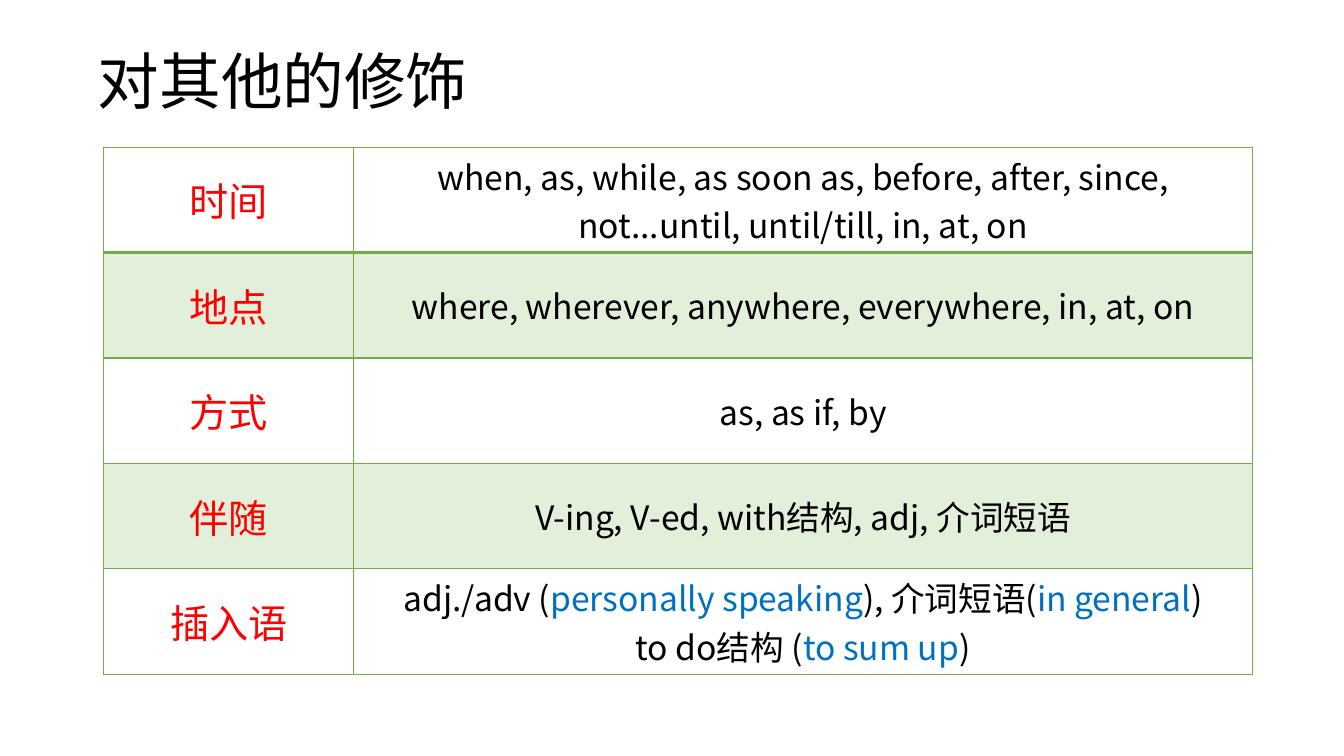
"""Build a slide that lists English adverbial modifiers in a table."""
from dataclasses import dataclass

from pptx import Presentation
from pptx.dml.color import RGBColor
from pptx.enum.text import MSO_ANCHOR as ANCHOR, PP_ALIGN as ALIGN
from pptx.oxml import parse_xml
from pptx.oxml.ns import nsdecls, qn
from pptx.util import Inches, Pt

FONT = "Noto Sans CJK SC"
BLACK, RED, BLUE = "000000", "FF0000", "0070C0"
GREEN, PALE, WHITE = "70AD47", "E2EFDA", "FFFFFF"

Runs = list[tuple[str, str]]


@dataclass
class Modifier:
    name: str
    lines: list[Runs]


MODIFIERS = [
    Modifier("时间", [[("when, as, while, as soon as, before, after, since, "
                      "not...until, until/till, in, at, on", BLACK)]]),
    Modifier("地点", [[("where, wherever, anywhere, everywhere, in, at, on", BLACK)]]),
    Modifier("方式", [[("as, as if, by", BLACK)]]),
    Modifier("伴随", [[("V-ing, V-ed, with结构, adj, 介词短语", BLACK)]]),
    Modifier("插入语", [
        [("adj./adv (", BLACK), ("personally speaking", BLUE),
         ("), 介词短语(", BLACK), ("in general", BLUE), (")", BLACK)],
        [("to do结构 (", BLACK), ("to sum up", BLUE), (")", BLACK)],
    ]),
]


def rgb(color: str) -> RGBColor:
    return RGBColor.from_string(color)


def add_run(p, text: str, *, size: float, color: str) -> None:
    r = p.add_run()
    r.text = text
    r.font.size = Pt(size)
    r.font.name = FONT
    r.font.bold = False
    r.font.color.rgb = rgb(color)
    latin = r.font._element.find(qn("a:latin"))
    latin.addnext(parse_xml(f'<a:ea {nsdecls("a")} typeface="{FONT}"/>'))


def write(tf, lines: list[Runs], *, size: float, align=ALIGN.CENTER, spacing: float = 1.0) -> None:
    for i, runs in enumerate(lines):
        p = tf.add_paragraph() if i else tf.paragraphs[0]
        p.alignment = align
        p.line_spacing = spacing
        for text, color in runs:
            add_run(p, text, size=size, color=color)


def set_borders(cell, widths: dict[str, float]) -> None:
    tc_pr = cell._tc.get_or_add_tcPr()
    for i, side in enumerate("LRTB"):
        tc_pr.insert(i, parse_xml(
            f'<a:ln{side} {nsdecls("a")} w="{Pt(widths.get(side, 1))}"><a:solidFill>'
            f'<a:srgbClr val="{GREEN}"/></a:solidFill></a:ln{side}>'))


def fill_cell(cell, lines: list[Runs], *, size: float, inset: float, fill: str,
              widths: dict[str, float]) -> None:
    cell.vertical_anchor = ANCHOR.MIDDLE
    cell.margin_left = cell.margin_right = Inches(inset)
    cell.margin_top = cell.margin_bottom = Inches(inset)
    cell.fill.solid()
    cell.fill.fore_color.rgb = rgb(fill)
    set_borders(cell, widths)
    write(cell.text_frame, lines, size=size)


def add_title(s, text: str) -> None:
    sp = s.shapes.title
    sp.left, sp.top, sp.width, sp.height = map(Inches, (0.92, 0.4, 11.5, 0.87))
    tf = sp.text_frame
    tf.vertical_anchor = ANCHOR.MIDDLE
    tf.margin_left = tf.margin_right = tf.margin_top = tf.margin_bottom = Inches(0.05)
    write(tf, [[(text, BLACK)]], size=44, align=ALIGN.LEFT, spacing=0.9)


def add_modifier_table(s, modifiers: list[Modifier]) -> None:
    table = s.shapes.add_table(len(modifiers), 2, Inches(1.03), Inches(1.46),
                               Inches(11.39), Inches(5.23)).table
    table.first_row = table.horz_banding = False
    table.columns[0].width, table.columns[1].width = Inches(2.48), Inches(8.91)
    for i, modifier in enumerate(modifiers):
        fill = PALE if i % 2 else WHITE
        widths = {0: {"B": 2}, 1: {"T": 2}}.get(i, {})
        fill_cell(table.cell(i, 0), [[(modifier.name, RED)]], size=28, inset=0,
                  fill=fill, widths=widths)
        fill_cell(table.cell(i, 1), modifier.lines, size=24, inset=0.01,
                  fill=fill, widths=widths)


def main() -> None:
    prs = Presentation()
    prs.slide_width, prs.slide_height = Inches(13.33), Inches(7.5)
    s = prs.slides.add_slide(prs.slide_layouts[5])
    add_title(s, "对其他的修饰")
    add_modifier_table(s, MODIFIERS)
    prs.save("out.pptx")


if __name__ == "__main__":
    main()
